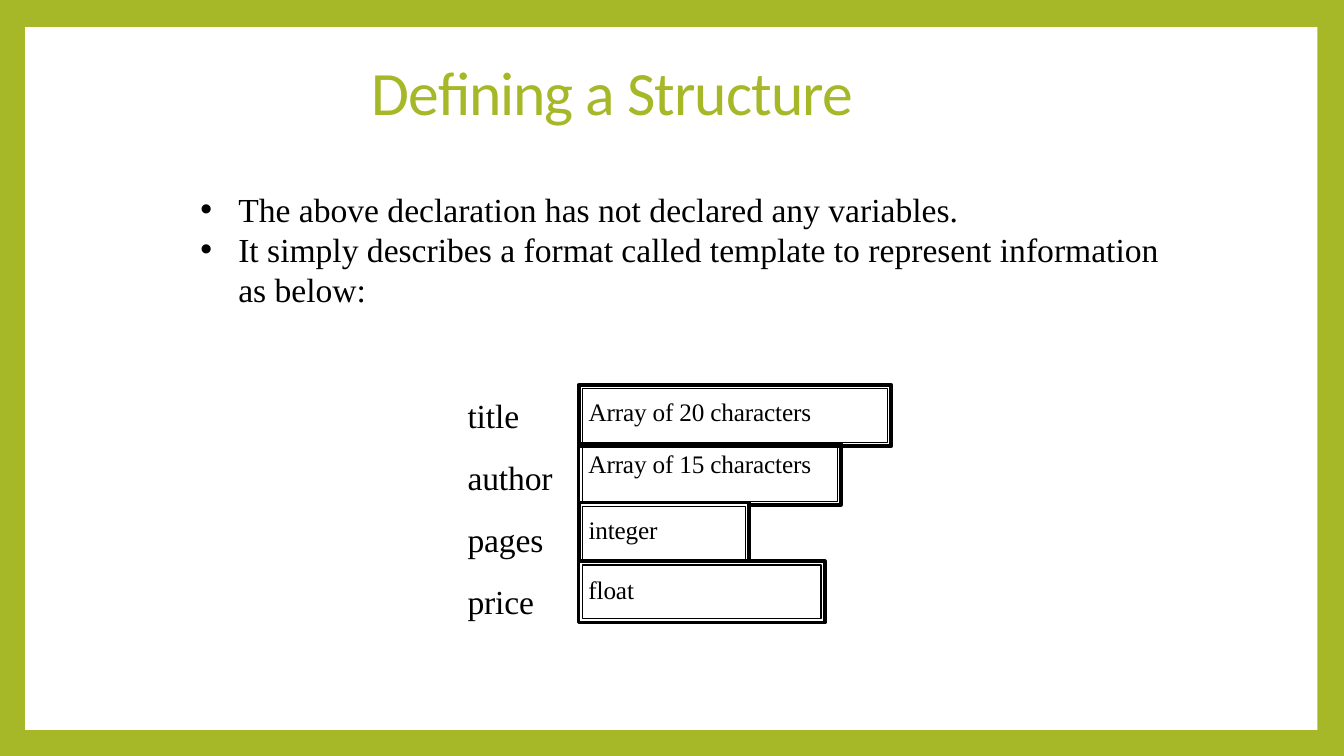
from dataclasses import dataclass
from typing import Optional

from pptx import Presentation
from pptx.dml.color import RGBColor
from pptx.enum.shapes import MSO_SHAPE as Preset
from pptx.enum.text import MSO_ANCHOR as Anchor, MSO_AUTO_SIZE as Fit, PP_ALIGN as Align
from pptx.oxml.ns import qn
from pptx.shapes.autoshape import Shape
from pptx.slide import Slide
from pptx.util import Pt
from lxml.etree import SubElement

GREEN = RGBColor(0xA6, 0xB7, 0x27)
WHITE = RGBColor(0xFF, 0xFF, 0xFF)
BLACK = RGBColor(0, 0, 0)

SERIF = "Times New Roman"
LEFT, TOP = 413.3, 275
PITCH, HIGH = 42, 43.7
INSET = 2.6


@dataclass
class Field:
    name: str
    kind: str
    width: float
    drop: float
    fill: Optional[RGBColor] = None


FIELDS = [
    Field("title", "Array of 20 characters", 223.4, 8),
    Field("author", "Array of 15 characters", 187.3, 3.5),
    Field("pages", "integer", 121.8, 8.5, WHITE),
    Field("price", "float", 175.8, 9, WHITE),
]


def place(shape: Shape, x: float, y: float, w: float, h: float) -> None:
    shape.left, shape.top, shape.width, shape.height = Pt(x), Pt(y), Pt(w), Pt(h)


def write(shape: Shape, lines: list[str], *, size: float, font: str = SERIF,
          color: RGBColor = BLACK, track: float = 0, lead: float = 1,
          gap: float = 0, hang: float = 0, anchor: Anchor = Anchor.TOP,
          pad: tuple[float, float, float, float] = (0, 0.9, 0, 0)) -> None:
    """Fill a shape with one paragraph per line; hang adds a bullet indent."""
    frame = shape.text_frame
    frame.word_wrap = True
    frame.auto_size = Fit.NONE
    frame.vertical_anchor = anchor
    (frame.margin_left, frame.margin_top,
     frame.margin_right, frame.margin_bottom) = map(Pt, pad)
    for i, line in enumerate(lines):
        para = frame.paragraphs[0] if i == 0 else frame.add_paragraph()
        para.alignment = Align.LEFT
        para.line_spacing = lead
        para.space_before = Pt(gap if i else 0)
        if hang:
            props = para._p.get_or_add_pPr()
            props.set("marL", str(Pt(hang)))
            props.set("indent", str(-Pt(hang)))
            SubElement(props, qn("a:buFont")).set("typeface", "Arial")
            SubElement(props, qn("a:buChar")).set("char", "•")
        run = para.add_run()
        run.text = line
        run.font.size = Pt(size)
        run.font.name = font
        run.font.color.rgb = color
        if track:
            run._r.get_or_add_rPr().set("spc", str(round(track * 100)))


def box(slide: Slide, x: float, y: float, w: float, h: float,
        fill: Optional[RGBColor] = None, line: float = 0) -> Shape:
    shape = slide.shapes.add_shape(Preset.RECTANGLE, Pt(x), Pt(y), Pt(w), Pt(h))
    shape.shadow.inherit = False
    if fill is None:
        shape.fill.background()
    else:
        shape.fill.solid()
        shape.fill.fore_color.rgb = fill
    if line:
        shape.line.color.rgb = BLACK
        shape.line.width = Pt(line)
        SubElement(shape.line._get_or_add_ln(), qn("a:round"))
    else:
        shape.line.fill.background()
    return shape


def draw(slide: Slide, row: int, field: Field) -> None:
    """Draw a field's double frame with its type inside."""
    y = TOP + row * PITCH
    outer = box(slide, LEFT, y, field.width, HIGH, field.fill, 2.75)
    write(outer, [field.kind], size=18, track=-0.1, pad=(7.2, field.drop, 0, 0))
    box(slide, LEFT + INSET, y + INSET, field.width - 2 * INSET,
        HIGH - 2 * INSET, line=0.75)


def main() -> None:
    deck = Presentation()
    deck.slide_width, deck.slide_height = Pt(960), Pt(540)
    slide = deck.slides.add_slide(deck.slide_layouts[1])
    slide.background.fill.solid()
    slide.background.fill.fore_color.rgb = GREEN

    panel = box(slide, 18, 19.4, 923, 502, WHITE)
    panel.element.getparent().insert(2, panel.element)

    title, body = slide.placeholders
    place(title, 265.7, 37.4, 392.4, 54.7)
    write(title, ["Defining a Structure"], size=44, font="Calibri",
          color=GREEN, track=-0.7, anchor=Anchor.MIDDLE)
    place(body, 136, 131, 714, 94.3)
    write(body, ["The above declaration has not declared any variables.",
                 "It simply describes a format called template to represent "
                 "information as below:"],
          size=24, hang=27, pad=(7.2, 3.6, 7.2, 3.6))

    names = slide.shapes.add_textbox(Pt(334), Pt(267), Pt(88), Pt(176.4))
    write(names, [field.name for field in FIELDS],
          size=24, track=-0.1, lead=1.5, gap=0.9)
    for row, field in enumerate(FIELDS):
        draw(slide, row, field)

    deck.save("out.pptx")


if __name__ == "__main__":
    main()
